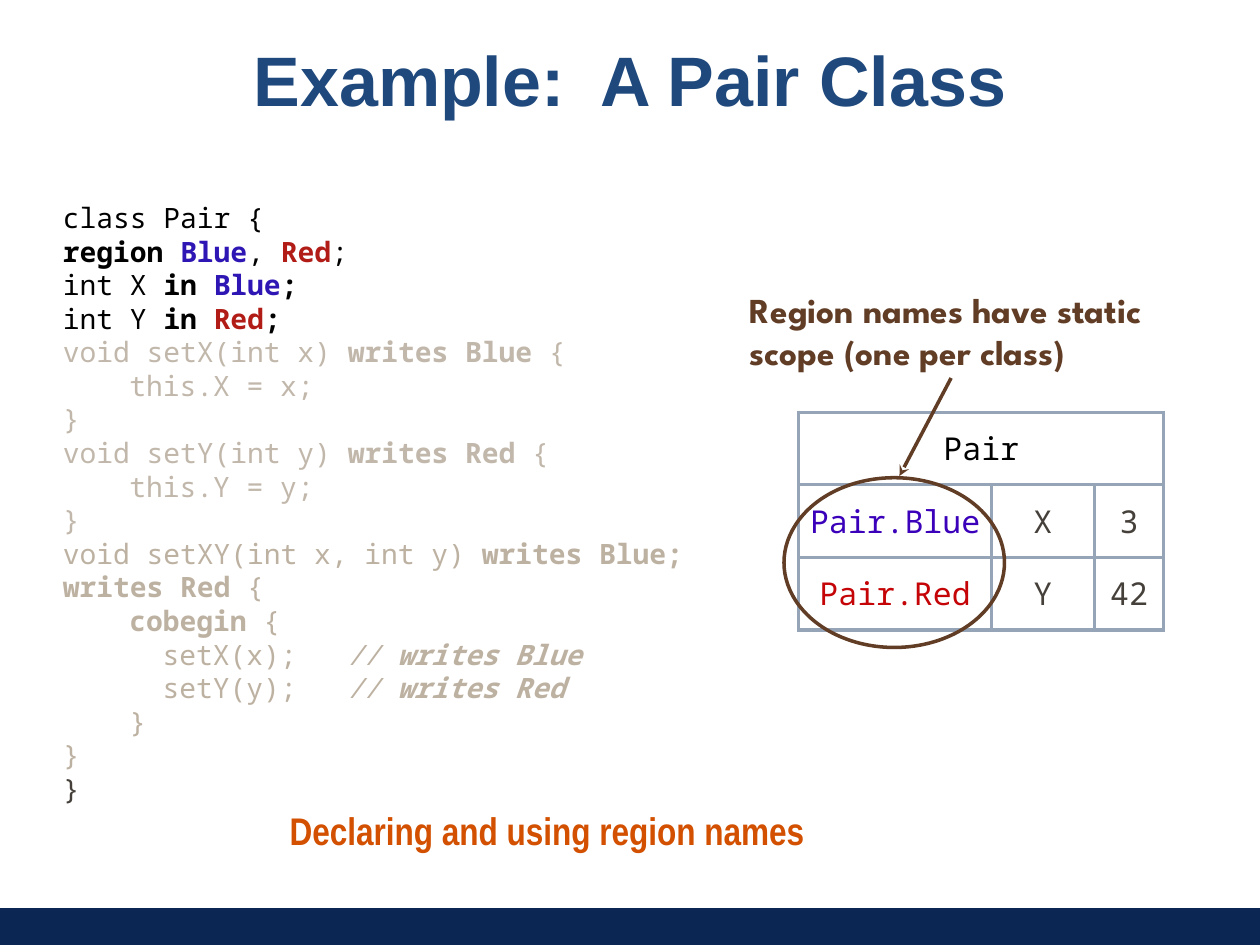
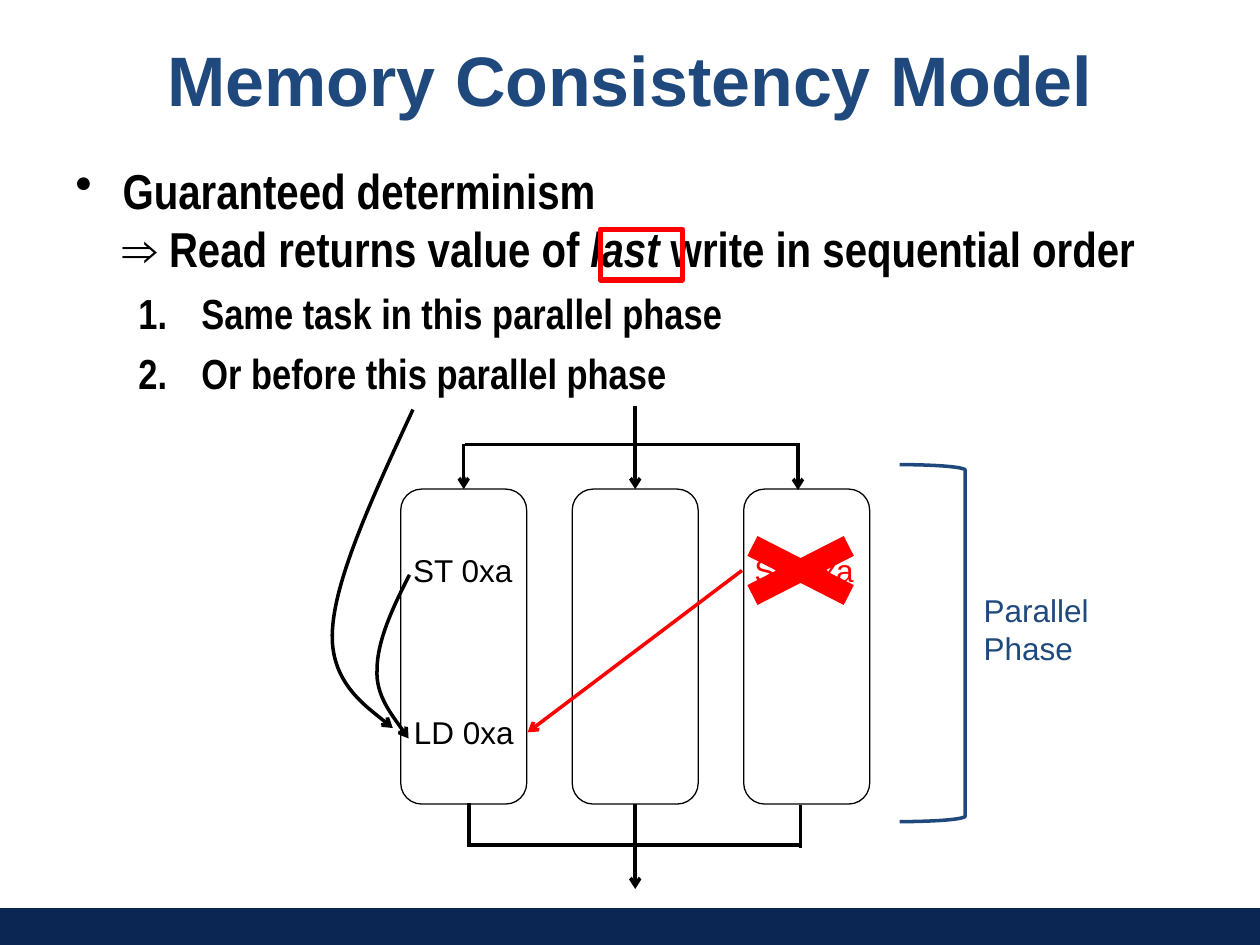
from dataclasses import dataclass

from lxml import etree
from pptx import Presentation
from pptx.dml.color import RGBColor
from pptx.enum.shapes import MSO_CONNECTOR, MSO_SHAPE
from pptx.enum.text import MSO_ANCHOR, MSO_AUTO_SIZE, PP_ALIGN
from pptx.oxml.ns import qn
from pptx.util import Pt

RECT, ELLIPSE = MSO_SHAPE.RECTANGLE, MSO_SHAPE.OVAL
ROUNDED, BRACKET = MSO_SHAPE.ROUNDED_RECTANGLE, MSO_SHAPE.LEFT_BRACKET
CROSS, STRAIGHT = MSO_SHAPE.MATH_MULTIPLY, MSO_CONNECTOR.STRAIGHT
TOP, MIDDLE, BOTTOM = MSO_ANCHOR.TOP, MSO_ANCHOR.MIDDLE, MSO_ANCHOR.BOTTOM
LEFT, CENTER = PP_ALIGN.LEFT, PP_ALIGN.CENTER
GROW, FIXED = MSO_AUTO_SIZE.SHAPE_TO_FIT_TEXT, MSO_AUTO_SIZE.NONE
SIDE_TOP, SIDE_BOTTOM = 0, 2


def rgb(value):
    return RGBColor.from_string(value)


@dataclass(frozen=True)
class Theme:
    # Colours
    black: RGBColor = rgb("000000")
    band: RGBColor = rgb("0B2653")
    heading: RGBColor = rgb("1F497D")
    blue: RGBColor = rgb("2E16B4")
    red: RGBColor = rgb("B11C17")
    faded: RGBColor = rgb("C1B7AA")
    faded_dark: RGBColor = rgb("BDB1A1")
    charcoal: RGBColor = rgb("45403A")
    cell_blue: RGBColor = rgb("3A00BA")
    cell_red: RGBColor = rgb("C40406")
    grid: RGBColor = rgb("95A4B7")
    brown: RGBColor = rgb("613D26")
    orange: RGBColor = rgb("D25000")
    alert: RGBColor = rgb("FF0000")
    # Fonts
    sans: str = "Arial"
    narrow: str = "Arial Narrow"
    mono: str = "Noto Sans Mono"
    callout_font: str = "League Spartan"
    # Type sizes
    title: int = 40
    lead: int = 28
    item: int = 24
    caption: int = 22
    callout: int = 20
    label: int = 18
    code: int = 16


THEME = Theme()


@dataclass
class Para:
    """Runs are (text, colour, style) with style made of the letters b and i."""
    runs: list
    indent: float = 0
    hang: float = 0
    bullet: tuple = ()
    size: int = 0
    before: float = 0


class Deck:
    def __init__(self, theme):
        self.theme = theme
        self.prs = Presentation()
        self.prs.slide_width, self.prs.slide_height = Pt(720), Pt(540)
        self.slide = None

    def new_slide(self, title):
        self.slide = self.prs.slides.add_slide(self.prs.slide_layouts[6])
        self.shape(RECT, (-16.5, 519, 749, 41), fill=self.theme.band)
        self.text((36, 0, 648, 90), [Para([(title, self.theme.heading, "b")])],
                  self.theme.sans, self.theme.title, anchor=MIDDLE, align=CENTER)

    def shape(self, kind, box, fill=None, line=None, width=2.0):
        shape = self.slide.shapes.add_shape(kind, *map(Pt, box))
        self.paint(shape, fill, line, width)
        return shape

    def paint(self, shape, fill, line, width):
        shape.shadow.inherit = False
        for part, colour in ((shape.fill, fill), (shape.line.fill, line)):
            if colour is None:
                part.background()
            else:
                part.solid()
                part.fore_color.rgb = colour
        if line is not None:
            shape.line.width = Pt(width)

    def text(self, box, paras, font, size, anchor=TOP, align=LEFT,
             inset=True, grow=False, leading=None):
        frame = self.slide.shapes.add_textbox(*map(Pt, box)).text_frame
        side, edge = (Pt(7.2), Pt(3.6)) if inset else (0, 0)
        layout = {"margin_left": side, "margin_right": side, "margin_top": edge,
                  "margin_bottom": edge, "vertical_anchor": anchor,
                  "word_wrap": not grow, "auto_size": GROW if grow else FIXED}
        for name, value in layout.items():
            setattr(frame, name, value)
        for number, para in enumerate(paras):
            target = frame.add_paragraph() if number else frame.paragraphs[0]
            self.fill_paragraph(target, para, font, para.size or size, align)
            if leading:
                target.line_spacing = Pt(leading * size)

    def fill_paragraph(self, target, para, font, size, align):
        target.alignment = align
        if para.before:
            target.space_before = Pt(para.before)
        props = target._p.get_or_add_pPr()
        if para.indent:
            props.set("marL", str(Pt(para.indent)))
            props.set("indent", str(Pt(-para.hang)))
        if para.bullet:
            tag, attribute, value = para.bullet
            etree.SubElement(props, qn(tag)).set(attribute, value)
        for words, colour, style in para.runs:
            if words == "\n":
                target.add_line_break()
                continue
            run = target.add_run()
            run.text = words
            run.font.color.rgb = colour
            values = {"name": font, "size": Pt(size),
                      "bold": "b" in style, "italic": "i" in style}
            for name, value in values.items():
                setattr(run.font, name, value)

    def label(self, box, lines, colour):
        self.text(box, [Para([(words, colour, "")]) for words in lines],
                  self.theme.sans, self.theme.label, grow=True)

    def line(self, start, end, colour, tip=None, begin=None, finish=None):
        """begin and finish are (shape, side) pairs to join."""
        line = self.slide.shapes.add_connector(STRAIGHT, *map(Pt, (*start, *end)))
        line.line.color.rgb = colour
        line.line.width = Pt(2)
        self.add_tip(line, tip)
        etree.SubElement(line._element.spPr, qn("a:effectLst"))
        if begin:
            line.begin_connect(*begin)
        if finish:
            line.end_connect(*finish)

    def add_tip(self, shape, tip):
        if tip:
            outline = shape._element.spPr.find(qn("a:ln"))
            etree.SubElement(outline, qn("a:tailEnd")).set("type", tip)

    def curve(self, points, colour):
        """Draw Bézier pieces: a start, then two handles and an end for each."""
        start, *rest = [tuple(map(Pt, point)) for point in points]
        builder = self.slide.shapes.build_freeform(*start, scale=1.0)
        builder.add_line_segments(rest, close=False)
        curve = builder.convert_to_shape()
        outline = next(curve._element.iter(qn("a:path")))
        segments = outline.findall(qn("a:lnTo"))
        for first in range(0, len(segments), 3):
            bezier = etree.SubElement(outline, qn("a:cubicBezTo"))
            for segment in segments[first:first + 3]:
                bezier.append(segment[0])
                outline.remove(segment)
        self.paint(curve, None, colour, 2)
        self.add_tip(curve, "arrow")

    def table(self, left, top, widths, height, rows):
        """Rows hold (text, colour) cells; a short row spans the full width."""
        table = self.slide.shapes.add_table(
            len(rows), len(widths), Pt(left), Pt(top),
            Pt(sum(widths)), Pt(height * len(rows))).table
        table.first_row = table.horz_banding = False
        for column, width in zip(table.columns, widths):
            column.width = Pt(width)
        for row, cells in enumerate(rows):
            table.rows[row].height = Pt(height)
            for column in range(len(widths)):
                self.style_cell(table.cell(row, column))
            if len(cells) == 1:
                table.cell(row, 0).merge(table.cell(row, len(widths) - 1))
            for column, (words, colour) in enumerate(cells):
                self.fill_paragraph(
                    table.cell(row, column).text_frame.paragraphs[0],
                    Para([(words, colour, "")]),
                    self.theme.mono, self.theme.label, CENTER)

    def style_cell(self, cell):
        props = cell._tc.get_or_add_tcPr()
        for side in "LRTB":
            border = etree.SubElement(props, qn(f"a:ln{side}"), w=str(Pt(2)))
            fill = etree.SubElement(border, qn("a:solidFill"))
            etree.SubElement(fill, qn("a:srgbClr")).set("val", str(self.theme.grid))
        cell.fill.background()
        cell.vertical_anchor = MIDDLE
        for side in ("left", "right", "top", "bottom"):
            setattr(cell, f"margin_{side}", Pt(3))


def pair_class(deck):
    t = deck.theme
    deck.new_slide("Example:  A Pair Class")

    # Code listing
    def field(declaration, region, colour):
        return Para([(declaration, t.black, ""), ("in ", t.black, "b"),
                     (region, colour, "b"), (";", t.black, "b")])

    def method(signature, effect, brace, colour):
        return Para([(signature, colour, ""), (effect, colour, "b"), (brace, colour, "")])

    def plain(words, indent=0, colour=t.faded):
        return Para([(words, colour, "")], indent)

    def call(words, effect):
        return Para([(words, t.faded_dark, ""), ("// ", t.faded_dark, "i"),
                     (effect, t.faded_dark, "bi")], 57)

    listing = [
        plain("class Pair {", colour=t.black),
        Para([("region ", t.black, "b"), ("Blue", t.blue, "b"), (", ", t.black, ""),
              ("Red", t.red, "b"), (";", t.black, "")]),
        field("int X ", "Blue", t.blue),
        field("int Y ", "Red", t.red),
        method("void setX(int x) ", "writes Blue ", "{", t.faded),
        plain("this.X = x;", 38),
        plain("}"),
        method("void setY(int y) ", "writes Red ", "{", t.faded),
        plain("this.Y = y;", 38),
        plain("}"),
        method("void setXY(int x, int y) ", "writes Blue; writes Red", " {", t.faded_dark),
        Para([("cobegin", t.faded_dark, "b"), (" {", t.faded_dark, "")], 38),
        call("setX(x);   ", "writes Blue"),
        call("setY(y);   ", "writes Red"),
        plain("}", 38, t.faded_dark),
        plain("}", colour=t.faded_dark),
        plain("}", colour=t.charcoal),
    ]
    deck.text((36, 118, 420.5, 342), listing, t.mono, t.code,
              anchor=BOTTOM, inset=False, leading=1.2)

    # Memory layout of a Pair
    deck.table(456.5, 235.5, (110, 59, 39.5), 41.5, [
        [("Pair", t.black)],
        [("Pair.Blue", t.cell_blue), ("X", t.charcoal), ("3", t.charcoal)],
        [("Pair.Red", t.cell_red), ("Y", t.charcoal), ("42", t.charcoal)],
    ])

    # Caption and callout
    deck.text((165.5, 461, 297, 26.5),
              [Para([("Declaring and using region names", t.orange, "b")])],
              t.narrow, t.caption, anchor=BOTTOM, inset=False, grow=True)
    deck.shape(ELLIPSE, (448, 273, 126, 97), line=t.brown)
    deck.text((428.5, 160.5, 259, 57),
              [Para([("Region names have static scope (one per class)", t.brown, "b")])],
              t.callout_font, t.callout, anchor=MIDDLE, inset=False, leading=1.2)
    deck.line((543.5, 216), (514, 272), t.brown, "stealth")


def memory_model(deck):
    t = deck.theme
    deck.new_slide("Memory Consistency Model")

    # Statement and its two cases
    numbered = ("a:buAutoNum", "type", "arabicPeriod")
    statement = [
        Para([("Guaranteed determinism ", t.black, "b"), ("\n", t.black, ""),
              ("⇒ Read returns value of ", t.black, "b"), ("last", t.black, "bi"),
              (" write in sequential order", t.black, "b")],
             27, 27, ("a:buChar", "char", "•"), before=5.6)]
    statement += [Para([(words, t.black, "b")], 72, 36, numbered, t.item, 5.6)
                  for words in ("Same task in this parallel phase",
                                "Or before this parallel phase")]
    deck.text((36, 88, 648, 238), statement, t.narrow, t.lead)
    deck.shape(RECT, (343, 131, 47, 29), line=t.alert, width=3)

    # Parallel tasks
    tasks = [deck.shape(ROUNDED, (229 + 98 * i, 279.5, 72, 180), line=t.black, width=0.75)
             for i in range(3)]
    first, second, _ = tasks
    trunk = 363

    # Fork
    deck.line((265.5, 254), (457, 254), t.black)
    deck.line((265, 254), (265, 279.5), t.black, "arrow", finish=(first, SIDE_TOP))
    deck.line((trunk, 254), (trunk, 279.5), t.black, "arrow", finish=(second, SIDE_TOP))
    deck.line((456, 254.5), (456, 280), t.black, "arrow")
    deck.line((trunk, 232), (trunk, 257), t.black)

    # Join
    deck.line((268, 483), (458.5, 483), t.black)
    deck.line((268, 459), (268, 484), t.black)
    deck.line((trunk, 459.5), (trunk, 484), t.black, begin=(second, SIDE_BOTTOM))
    deck.line((457.5, 460), (457.5, 484.5), t.black)
    deck.line((trunk, 483), (trunk, 508), t.black, "arrow")

    # Load and the stores it may see
    deck.label((229.5, 404, 72, 29), ["LD 0xa"], t.black)
    deck.label((229, 311.5, 72, 29), ["ST 0xa"], t.black)
    deck.curve([(234, 328.5), (224.5, 347), (215.5, 366.5), (215.5, 382.5),
                (214.5, 397.5), (233.5, 422), (233.5, 422)], t.black)
    deck.curve([(236, 234), (214, 281.5), (191.5, 330), (190, 360),
                (188, 390), (224.5, 416), (224.5, 416)], t.black)

    # Phase bracket
    deck.shape(BRACKET, (514, 265.5, 37.5, 204), line=t.heading).rotation = 180
    deck.label((555, 334, 75, 51), ["Parallel", "Phase"], t.heading)

    # Forbidden store
    deck.label((424, 311.5, 72, 29), ["ST 0xa"], t.alert)
    deck.line((424, 326), (301.5, 418.5), t.alert, "arrow")
    deck.shape(CROSS, (404.5, 299, 106, 54), fill=t.alert)


def main():
    deck = Deck(THEME)
    pair_class(deck)
    memory_model(deck)
    deck.prs.save("out.pptx")


if __name__ == "__main__":
    main()
